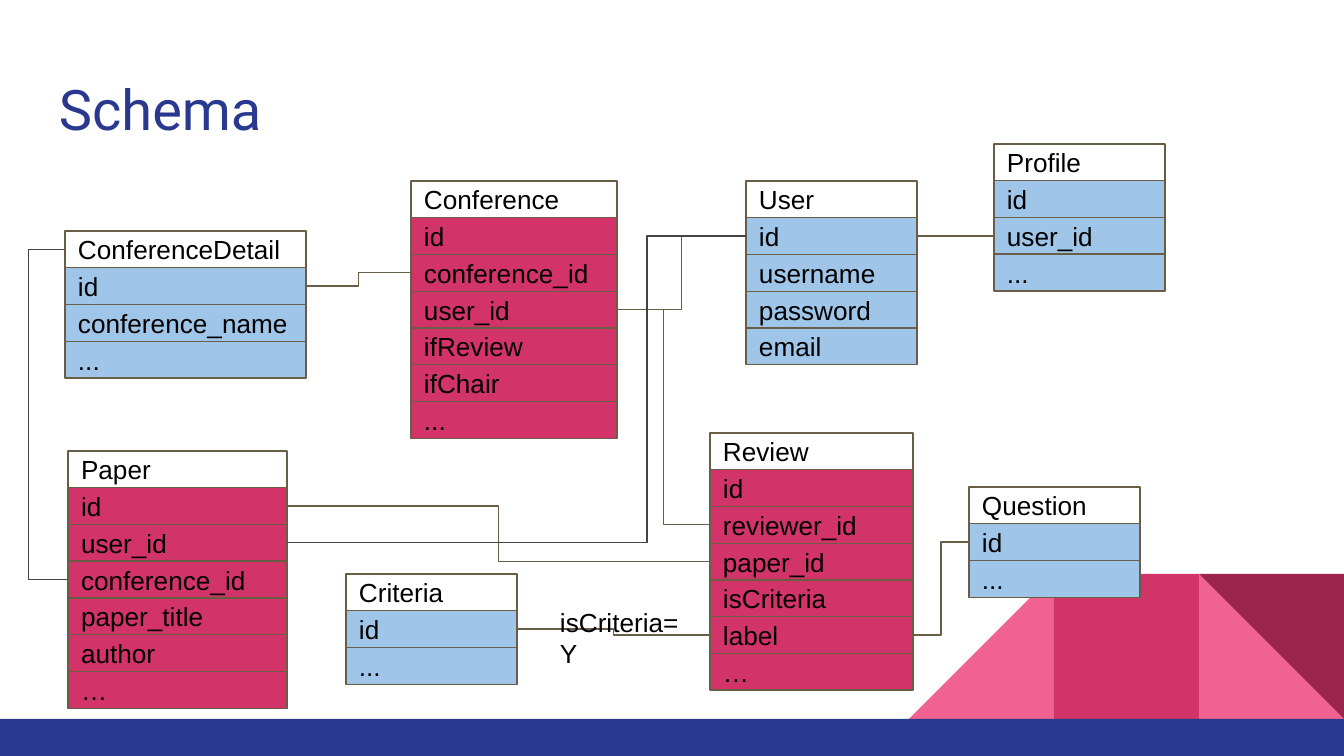
import pptx
import pptx.dml.color
import pptx.enum.shapes
import pptx.enum.text
import pptx.oxml.ns
import pptx.util
from lxml import etree

COLORS = {
    "navy": "2A3990", "pink": "F06292", "crimson": "D23369", "wine": "9C254D",
    "blue": "9FC5E8", "white": "FFFFFF", "black": "000000",
    "border": "695D46", "dark": "434343",
}
PX = 914400 / 134.4
WIDTH, HEIGHT = 1344, 756
ROW = 36.75
INSET = 13
LEFT, RIGHT = 1, 3

# name: (left, top, width, row colour, fields)
TABLES = {
    "User": (746, 181, 171, "blue", ["id", "username", "password", "email"]),
    "Profile": (994, 144, 171, "blue", ["id", "user_id", "..."]),
    "Paper": (68, 451, 219, "crimson",
              ["id", "user_id", "conference_id", "paper_title", "author", "…"]),
    "ConferenceDetail": (65, 231, 241, "blue", ["id", "conference_name", "..."]),
    "Review": (710, 433, 203, "crimson",
               ["id", "reviewer_id", "paper_id", "isCriteria", "label", "…"]),
    "Criteria": (346, 574, 171, "blue", ["id", "..."]),
    "Question": (969, 487, 171, "blue", ["id", "..."]),
    "Conference": (411, 181, 206, "crimson",
                   ["id", "conference_id", "user_id", "ifReview", "ifChair", "..."]),
}

# (from table, field, side), (to table, field, side), colour, x of the bend or None for halfway
LINKS = [
    (("User", "id", RIGHT), ("Profile", "user_id", LEFT), "border", None),
    (("User", "id", LEFT), ("Conference", "user_id", RIGHT), "border", None),
    (("Conference", "user_id", RIGHT), ("Review", "reviewer_id", LEFT), "border", None),
    (("Conference", "conference_id", LEFT), ("ConferenceDetail", "id", RIGHT), "border", None),
    (("Review", "paper_id", LEFT), ("Paper", "id", RIGHT), "border", None),
    (("Review", "label", LEFT), ("Criteria", "id", RIGHT), "border", None),
    (("Review", "label", RIGHT), ("Question", "id", LEFT), "border", None),
    (("Paper", "user_id", RIGHT), ("User", "id", LEFT), "dark", 647),
    (("ConferenceDetail", "ConferenceDetail", LEFT), ("Paper", "conference_id", LEFT), "dark", 29),
]

SHAPE = pptx.enum.shapes.MSO_SHAPE
TILE = 145
TILE_TOP = 574
BAR_TOP = TILE_TOP + TILE
# (shape, column counted from the right, colour, flipped, rotation)
TILES = [
    (SHAPE.RIGHT_TRIANGLE, 1, "pink", False, 0),
    (SHAPE.RIGHT_TRIANGLE, 3, "pink", True, 0),
    (SHAPE.RECTANGLE, 2, "crimson", False, 0),
    (SHAPE.RIGHT_TRIANGLE, 1, "wine", False, 180),
]


def emu(*pixels):
    return [round(value * PX) for value in pixels]


def rgb(name):
    return pptx.dml.color.RGBColor.from_string(COLORS[name])


def write(shape, text, size, font, color, anchor):
    frame = shape.text_frame
    frame.word_wrap = True
    frame.vertical_anchor = anchor
    inset, = emu(INSET)
    frame.margin_left = frame.margin_right = inset
    frame.margin_top = frame.margin_bottom = inset
    frame.text = text
    paragraph = frame.paragraphs[0]
    paragraph.alignment = pptx.enum.text.PP_ALIGN.LEFT
    run_font = paragraph.runs[0].font
    run_font.size = pptx.util.Pt(size)
    run_font.name = font
    run_font.color.rgb = rgb(color)


def add_filled(slide, kind, box, fill, border=None):
    shape = slide.shapes.add_shape(kind, *emu(*box))
    shape.shadow.inherit = False
    shape.fill.solid()
    shape.fill.fore_color.rgb = rgb(fill)
    if border:
        shape.line.color.rgb = rgb(border)
        shape.line.width = pptx.util.Pt(0.75)
    else:
        shape.line.fill.background()
    return shape


def add_decoration(slide):
    for kind, column, color, flipped, rotation in TILES:
        box = (WIDTH - column * TILE, TILE_TOP, TILE, TILE)
        shape = add_filled(slide, kind, box, color)
        shape.rotation = rotation
        if flipped:
            shape._element.spPr.xfrm.set("flipH", "1")
    add_filled(slide, SHAPE.RECTANGLE, (0, BAR_TOP, WIDTH, HEIGHT - BAR_TOP), "navy")


def add_schema_table(slide, name):
    """Stack a white heading and its fields; return the rows by text."""
    left, top, width, color, fields = TABLES[name]
    rows = {}
    for index, text in enumerate([name] + fields):
        fill = color if index else "white"
        box = (left, top + index * ROW, width, ROW)
        row = add_filled(slide, SHAPE.RECTANGLE, box, fill, "border")
        write(row, text, 14, "Arial", "black", pptx.enum.text.MSO_ANCHOR.MIDDLE)
        rows[text] = row
    return rows


def add_link(slide, start, start_side, end, end_side, color, bend):
    kinds = pptx.enum.shapes.MSO_CONNECTOR
    straight = start.top == end.top
    kind = kinds.STRAIGHT if straight else kinds.ELBOW
    link = slide.shapes.add_connector(kind, 0, 0, 0, 0)
    link.begin_connect(start, start_side)
    link.end_connect(end, end_side)
    link.line.color.rgb = rgb(color)
    link.line.width = pptx.util.Pt(0.75)
    properties = link._element.spPr
    etree.SubElement(properties, pptx.oxml.ns.qn("a:effectLst"))
    if bend is not None:
        ratio = (emu(bend)[0] - link.begin_x) / (link.end_x - link.begin_x)
        geometry = properties.find(pptx.oxml.ns.qn("a:prstGeom"))
        guides = geometry.find(pptx.oxml.ns.qn("a:avLst"))
        etree.SubElement(guides, pptx.oxml.ns.qn("a:gd"),
                         name="adj1", fmla=f"val {round(ratio * 100000)}")


def main():
    presentation = pptx.Presentation()
    presentation.slide_width, presentation.slide_height = emu(WIDTH, HEIGHT)
    slide = presentation.slides.add_slide(presentation.slide_layouts[6])
    top_anchor = pptx.enum.text.MSO_ANCHOR.TOP

    add_decoration(slide)
    title = slide.shapes.add_textbox(*emu(46, 61, 1252, 88))
    write(title, "Schema", 30, "Roboto", "navy", top_anchor)

    tables = {name: add_schema_table(slide, name) for name in TABLES}
    for (table, field, side), (other, other_field, other_side), color, bend in LINKS:
        add_link(slide, tables[table][field], side,
                 tables[other][other_field], other_side, color, bend)

    condition = slide.shapes.add_textbox(*emu(547, 593, 149, 42))
    write(condition, "isCriteria=Y", 14, "Arial", "black", top_anchor)
    presentation.save("out.pptx")


if __name__ == "__main__":
    main()
